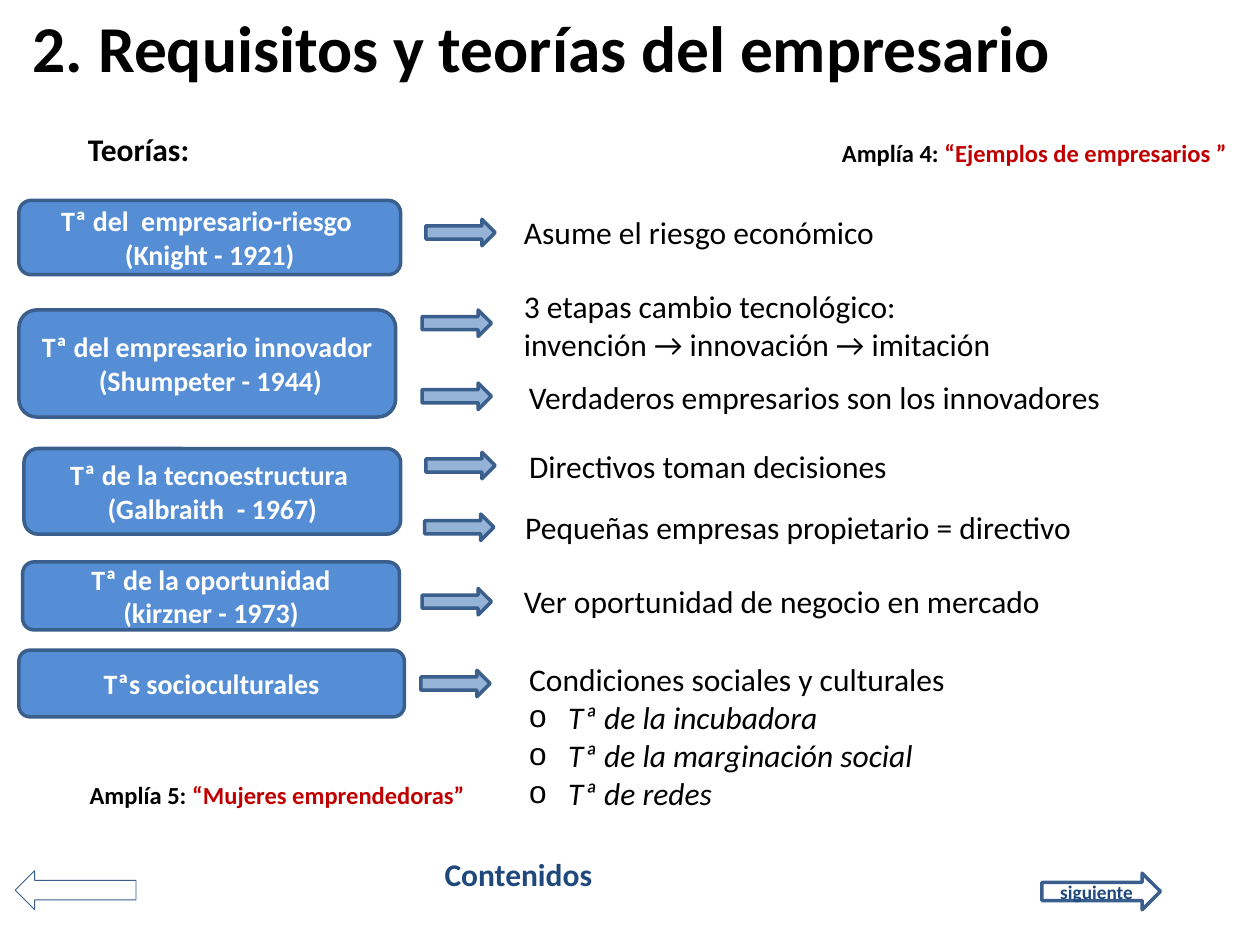
from pptx import Presentation
from pptx.dml.color import RGBColor
from pptx.enum import shapes, text
from pptx.oxml.ns import qn
from pptx.util import Inches, Pt
from lxml import etree

THEME = dict(
    font="Calibri", black="000000", white="FFFFFF", red="C00000", navy="1F497D",
    box="558ED5", arrow="95B3D7", edge="3A5F8C",
    title=37.4, body=18, label=16, note=14, button=11,
)
KIND = shapes.MSO_SHAPE
ALIGN = text.PP_ALIGN
MID = text.MSO_ANCHOR.MIDDLE

# Content: (left, top, width, height) and words
TITLE = "2. Requisitos y teorías del empresario"
THEORIES = [
    ((0.15, 1.59, 3.03, 0.59), ["Tª del  empresario-riesgo ", "(Knight - 1921)"]),
    ((0.15, 2.46, 2.99, 0.85), ["Tª del empresario innovador", " (Shumpeter - 1944)"]),
    ((0.19, 3.56, 2.99, 0.68), ["Tª de la tecnoestructura ", "(Galbraith  - 1967)"]),
    ((0.18, 4.46, 2.99, 0.54), ["Tª de la oportunidad", "(kirzner - 1973)"]),
    ((0.15, 5.16, 3.06, 0.53), ["Tªs socioculturales"]),
]
IDEAS = [
    ((4.06, 1.64, 3.78, 0.4), ["Asume el riesgo económico"]),
    ((4.06, 2.23, 5.21, 0.71),
     ["3 etapas cambio tecnológico:", "invención → innovación → imitación"]),
    ((4.1, 2.95, 5.06, 0.4), ["Verdaderos empresarios son los innovadores"]),
    ((4.1, 3.5, 5.15, 0.4), ["Directivos toman decisiones"]),
    ((4.07, 3.98, 5.29, 0.4), ["Pequeñas empresas propietario = directivo"]),
    ((4.06, 4.57, 5.29, 0.4), ["Ver oportunidad de negocio en mercado"]),
]
ARROWS = [(3.38, 1.74), (3.35, 2.46), (3.35, 3.04), (3.38, 3.59),
          (3.37, 4.08), (3.35, 4.67), (3.34, 5.32)]
SOCIAL = ["Condiciones sociales y culturales", "Tª de la incubadora",
          "Tª de la marginación social", "Tª de redes"]
HEADS = [
    ((0.6, 0.98, 1.34, 0.4), "Teorías:", "black"),
    ((3.43, 6.74, 1.44, 0.4), "Contenidos", "navy"),
]
NOTES = [
    ((6.57, 1.05, 3.28, 0.34), "Amplía 4:", " “Ejemplos de empresarios ”"),
    ((0.6, 6.14, 3.2, 0.34), "Amplía 5:", " “Mujeres emprendedoras”"),
]


def color(name):
    return RGBColor.from_string(THEME[name])


def style(para, size, tone="black", bold=False, align=ALIGN.LEFT):
    para.alignment = align
    font = para.font
    font.name, font.size, font.bold = THEME["font"], Pt(THEME[size]), bold
    font.color.rgb = color(tone)


def write(frame, lines, *args, **kw):
    for i, line in enumerate(lines):
        para = frame.paragraphs[0] if i == 0 else frame.add_paragraph()
        para.text = line
        style(para, *args, **kw)


def shape(kind, at, fill=None, width=2):
    item = slide.shapes.add_shape(kind, *map(Inches, at))
    item.shadow.inherit = False
    if fill:
        item.fill.solid()
        item.fill.fore_color.rgb = color(fill)
    else:
        item.fill.background()
    item.line.color.rgb = color("edge")
    item.line.width = Pt(width)
    item.text_frame.vertical_anchor = MID
    return item


def label(at, wrap=True):
    frame = slide.shapes.add_textbox(*map(Inches, at)).text_frame
    frame.word_wrap = wrap
    return frame


def holder(index, at):
    item = slide.placeholders[index]
    item.left, item.top, item.width, item.height = map(Inches, at)
    item.text_frame.auto_size = text.MSO_AUTO_SIZE.NONE
    return item.text_frame


def bullet(para, mark=None):
    props = para._p.get_or_add_pPr()
    step = Inches(0.31) if mark else 0
    props.set("marL", str(step))
    props.set("indent", str(-step))
    tag = etree.SubElement(props, qn("a:buChar" if mark else "a:buNone"))
    if mark:
        tag.set("char", mark)


prs = Presentation()
prs.slide_width, prs.slide_height = Inches(10), Inches(7.5)
slide = prs.slides.add_slide(prs.slide_layouts[1])

# Title
frame = holder(0, (0.16, 0.05, 9, 0.63))
frame.vertical_anchor = MID
write(frame, [TITLE], "title", bold=True)

# Theories, arrows and ideas
for at, lines in THEORIES:
    box = shape(KIND.ROUNDED_RECTANGLE, at, "box")
    write(box.text_frame, lines, "label", "white", True, ALIGN.CENTER)
for left, top in ARROWS:
    shape(KIND.RIGHT_ARROW, (left, top, 0.55, 0.21), "arrow")
for at, lines in IDEAS:
    write(label(at), lines, "body")

# Sociocultural list
frame = holder(1, (4.1, 5.19, 4.09, 1.31))
for i, line in enumerate(SOCIAL):
    para = frame.paragraphs[0] if i == 0 else frame.add_paragraph()
    para.text = line
    para.space_before = Pt(0)
    bullet(para, "o" if i else None)
    style(para, "body")
    para.font.italic = i > 0

# Headings and further reading
for at, line, tone in HEADS:
    write(label(at), [line], "body", tone, True)
for at, lead, name in NOTES:
    para = label(at, wrap=False).paragraphs[0]
    style(para, "note", bold=True, align=ALIGN.CENTER)
    para.add_run().text = lead
    run = para.add_run()
    run.text = name
    run.font.color.rgb = color("red")

# Navigation
shape(KIND.LEFT_ARROW, (0.12, 6.91, 0.96, 0.31), width=0.5)
after = shape(KIND.RIGHT_ARROW, (8.27, 6.93, 0.94, 0.29))
write(after.text_frame, ["siguiente"], "button", "navy", True, ALIGN.CENTER)

prs.save("out.pptx")
